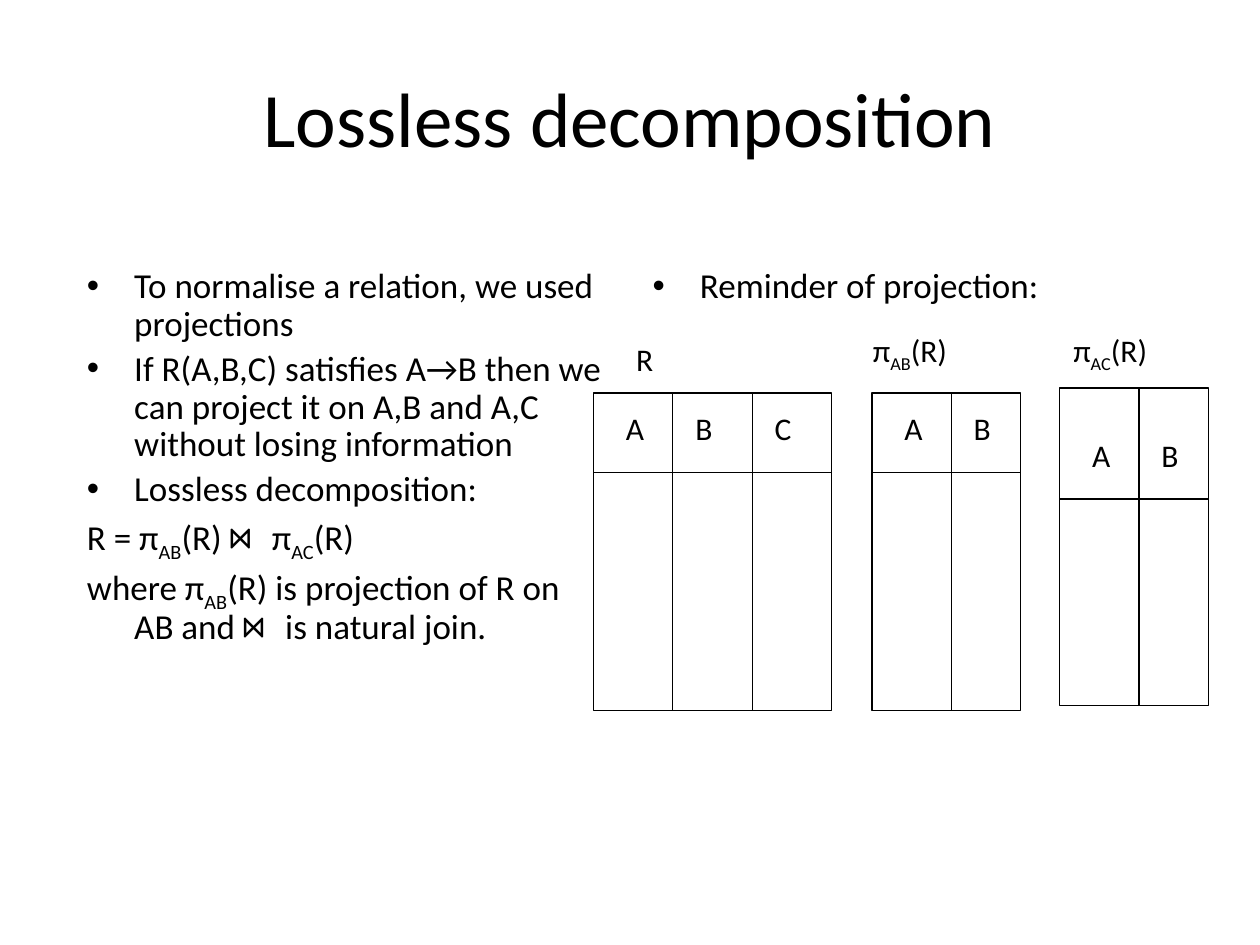
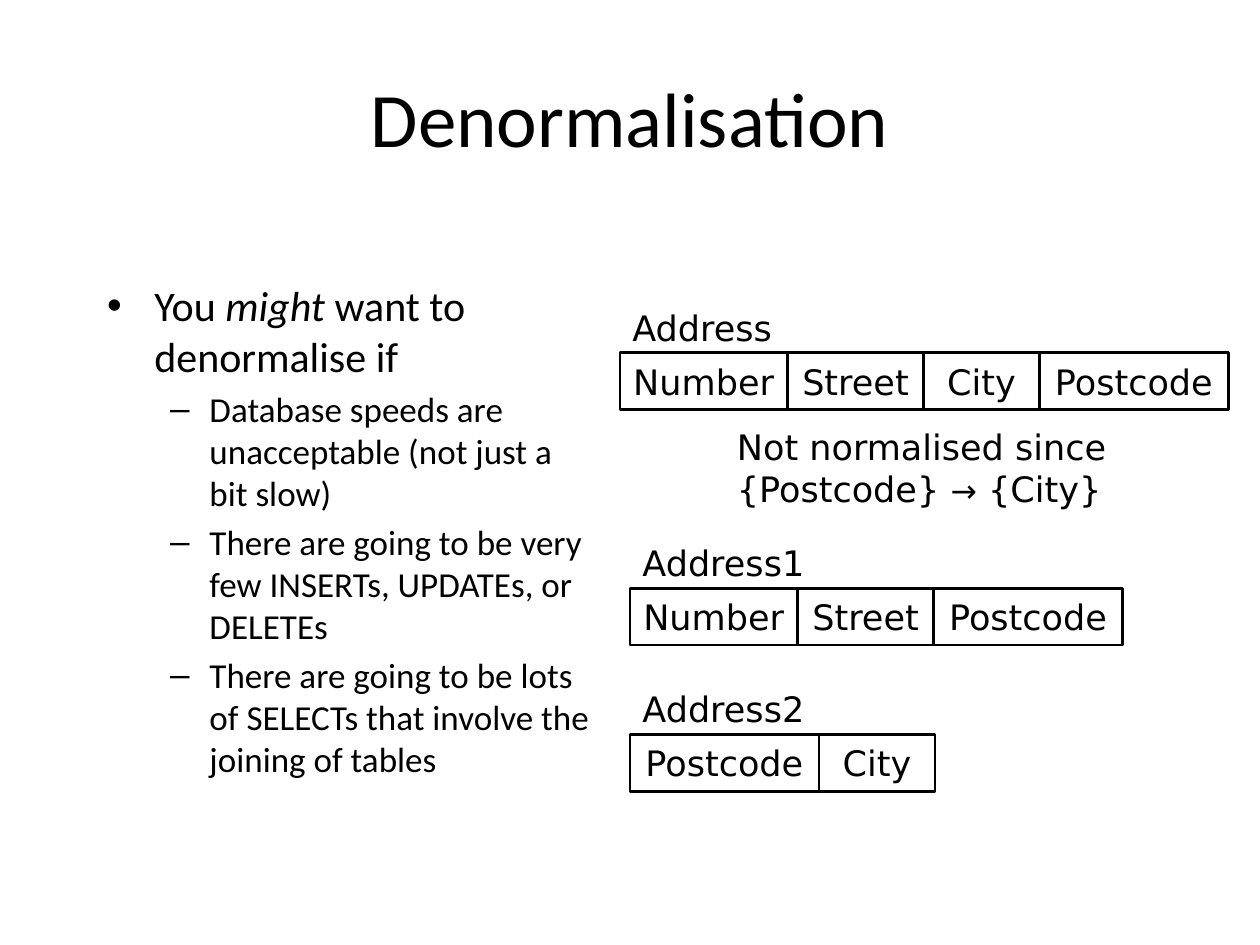
"""Build two database slides: lossless decomposition and denormalisation."""
import pptx
import pptx.util
from lxml import etree
from pptx.dml.color import RGBColor
from pptx.enum.shapes import MSO_CONNECTOR, MSO_SHAPE
from pptx.enum.text import MSO_ANCHOR, MSO_AUTO_SIZE, PP_ALIGN
from pptx.oxml.ns import qn

COLORS = {"ink": "000000", "paper": "FFFFFF"}
BODY_FONT, DIAGRAM_FONT, SYMBOL_FONT = "Calibri", "DejaVu Sans", "DejaVu Sans Mono"
TITLE_BOX = (0.5, 0.3, 9, 1.25)

# A piece of text is a plain string or (string, style).
SUB, ITALIC = {"subscript": True}, {"italic": True}
JOIN = ("⋈ ", {"font": SYMBOL_FONT})
PI_AB = ["π", ("AB", SUB), "(R)"]
PI_AC = ["π", ("AC", SUB), "(R)"]

# A body paragraph is (pieces, level, bulleted, size).
LOSSLESS_POINTS = [
    (["To normalise a relation, we used projections"], 0, True, 20),
    (["If R(A,B,C) satisfies A→B then we can project it on A,B and A,C "
      "without losing information"], 0, True, 20),
    (["Lossless decomposition:"], 0, True, 20),
    (["R = ", *PI_AB, " ", JOIN, *PI_AC], 0, False, 20),
    (["where ", *PI_AB, " is projection of R on AB and ", JOIN, "is natural join."],
     0, False, 20),
]
REMINDER_POINTS = [(["Reminder of projection:"], 0, True, 20)]
DENORMALISE_POINTS = [
    (["You ", ("might", ITALIC), " want to denormalise if"], 0, True, 24),
    (["Database speeds are unacceptable (not just a bit slow)"], 1, True, 20),
    (["There are going to be very few INSERTs, UPDATEs, or DELETEs"], 1, True, 20),
    (["There are going to be lots of SELECTs that involve the joining of tables"],
     1, True, 20),
]

# Relation diagrams: outline corner, width, header height, name position.
COLUMN_WIDTH, RELATION_HEIGHT = 0.63, 2.52
LETTER_OFFSETS = (0.16, 0.71, 1.34)
RELATIONS = [
    {"name": ["R"], "name_at": (4.95, 2.65), "at": (4.71, 3.12), "width": 1.89,
     "header": 0.63, "columns": "ABC"},
    {"name": PI_AB, "name_at": (6.83, 2.58), "at": (6.92, 3.12), "width": 1.18,
     "header": 0.63, "columns": "AB"},
    {"name": PI_AC, "name_at": (8.42, 2.58), "at": (8.41, 3.08), "width": 1.18,
     "header": 0.88, "columns": "AB"},
]

# Address schemas: each is one row of attributes under its name.
ATTRIBUTE_WIDTHS = {"Number": 1.33, "Street": 1.08, "City": 0.92, "Postcode": 1.5}
ROW_HEIGHT, NAME_HEIGHT = 0.45, 0.42
SCHEMAS = [
    ("Address", 1.31, (4.92, 2.8), ["Number", "Street", "City", "Postcode"]),
    ("Address1", 1.49, (5, 4.67), ["Number", "Street", "Postcode"]),
    ("Address2", 1.49, (5, 5.83), ["Postcode", "City"]),
]
DEPENDENCY_NOTE = [
    ["Not normalised since"],
    ["{Postcode} ", ("→", {"size": 18}), " {City}"],
]


def inches(*lengths):
    """Convert lengths in inches to slide units."""
    return [pptx.util.Inches(length) for length in lengths]


def color(name):
    """Look up a palette colour."""
    return RGBColor.from_string(COLORS[name])


def write(paragraph, pieces, size, font=BODY_FONT):
    """Fill a paragraph with styled pieces of text."""
    for piece in pieces:
        text, style = (piece, {}) if isinstance(piece, str) else piece
        run = paragraph.add_run()
        run.text = text
        run.font.name = style.get("font", font)
        run.font.size = pptx.util.Pt(style.get("size", size))
        run.font.color.rgb = color("ink")
        if style.get("italic"):
            run.font.italic = True
        if style.get("subscript"):
            run.font._element.set("baseline", "-25000")


def paragraphs_for(text_frame, count):
    """Return the given number of paragraphs, reusing the first."""
    return [text_frame.paragraphs[0]] + [text_frame.add_paragraph()
                                         for _ in range(count - 1)]


def place(shape, box):
    """Move and size a shape to a box in inches."""
    shape.left, shape.top, shape.width, shape.height = inches(*box)


def add_slide(presentation, layout_index, title):
    """Add a slide with the shared background and title style."""
    slide = presentation.slides.add_slide(presentation.slide_layouts[layout_index])
    slide.background.fill.solid()
    slide.background.fill.fore_color.rgb = color("paper")
    place(slide.shapes.title, TITLE_BOX)
    text_frame = slide.shapes.title.text_frame
    text_frame.vertical_anchor = MSO_ANCHOR.MIDDLE
    text_frame.auto_size = MSO_AUTO_SIZE.NONE
    text_frame.paragraphs[0].alignment = PP_ALIGN.CENTER
    write(text_frame.paragraphs[0], [title], 44)
    return slide


def fill_body(placeholder, box, points, line_spacing=1.0):
    """Place a body placeholder and write its list."""
    place(placeholder, box)
    text_frame = placeholder.text_frame
    text_frame.auto_size = MSO_AUTO_SIZE.NONE
    for paragraph, point in zip(paragraphs_for(text_frame, len(points)), points):
        pieces, level, bulleted, size = point
        paragraph.level = level
        paragraph.line_spacing = line_spacing
        if not bulleted:
            etree.SubElement(paragraph._p.get_or_add_pPr(), qn("a:buNone"))
        write(paragraph, pieces, size)


def add_text(slide, box, lines, size, font=BODY_FONT, wrap=True):
    """Add a text box with one paragraph per line."""
    text_frame = slide.shapes.add_textbox(*inches(*box)).text_frame
    text_frame.word_wrap = wrap
    text_frame.auto_size = MSO_AUTO_SIZE.SHAPE_TO_FIT_TEXT
    for paragraph, line in zip(paragraphs_for(text_frame, len(lines)), lines):
        write(paragraph, line, size, font)


def add_rectangle(slide, box, line_width):
    """Add an unfilled outlined rectangle."""
    shape = slide.shapes.add_shape(MSO_SHAPE.RECTANGLE, *inches(*box))
    shape.shadow.inherit = False
    shape.fill.background()
    shape.line.color.rgb = color("ink")
    shape.line.width = pptx.util.Pt(line_width)
    return shape


def add_rule(slide, start, end):
    """Add a thin straight line."""
    connector = slide.shapes.add_connector(MSO_CONNECTOR.STRAIGHT,
                                           *inches(*start, *end))
    connector.line.color.rgb = color("ink")
    connector.line.width = pptx.util.Pt(0.75)
    etree.SubElement(connector._element.spPr, qn("a:effectLst"))


def draw_relation(slide, relation):
    """Draw a relation as an empty grid with a lettered header."""
    left, top = relation["at"]
    width, header = relation["width"], relation["header"]
    add_rectangle(slide, (left, top, width, RELATION_HEIGHT), 0.75)
    for letter, offset in zip(relation["columns"], LETTER_OFFSETS):
        add_text(slide, (left + offset, top + header - 0.55, 0.47, 0.5), [[letter]], 18)
    add_rule(slide, (left, top + header), (left + width, top + header))
    for column in range(1, len(relation["columns"])):
        x = left + column * COLUMN_WIDTH
        add_rule(slide, (x, top), (x, top + RELATION_HEIGHT))
    name_width = 0.47 if len(relation["name"]) == 1 else 1.42
    add_text(slide, (*relation["name_at"], name_width, 0.4), [relation["name"]], 18)


def draw_schema(slide, name, name_width, corner, attributes):
    """Draw a schema as a row of attribute boxes below its name."""
    left, top = corner
    add_text(slide, (left, top - NAME_HEIGHT, name_width, 0.43), [[name]], 20,
             DIAGRAM_FONT, wrap=False)
    for attribute in attributes:
        width = ATTRIBUTE_WIDTHS[attribute]
        text_frame = add_rectangle(slide, (left, top, width, ROW_HEIGHT), 1.5).text_frame
        text_frame.word_wrap = True
        text_frame.vertical_anchor = MSO_ANCHOR.MIDDLE
        text_frame.paragraphs[0].alignment = PP_ALIGN.CENTER
        write(text_frame.paragraphs[0], [attribute], 20, DIAGRAM_FONT)
        left += width


def build_lossless(presentation):
    """Build the slide on lossless decomposition."""
    slide = add_slide(presentation, 3, "Lossless decomposition")
    # The left column is just narrow enough to wrap before the R grid.
    fill_body(slide.placeholders[1], (0.59, 2.08, 4.3, 4.75), LOSSLESS_POINTS, 0.9)
    fill_body(slide.placeholders[2], (5.08, 2.08, 4.33, 4.75), REMINDER_POINTS, 0.9)
    for relation in RELATIONS:
        draw_relation(slide, relation)


def build_denormalisation(presentation):
    """Build the slide on denormalisation."""
    slide = add_slide(presentation, 1, "Denormalisation")
    fill_body(slide.placeholders[1], (0.75, 2.17, 4.08, 4.5), DENORMALISE_POINTS)
    for schema in SCHEMAS:
        draw_schema(slide, *schema)
    add_text(slide, (5.75, 3.33, 3.22, 0.83), DEPENDENCY_NOTE, 20, DIAGRAM_FONT,
             wrap=False)


def main():
    """Build and save the presentation."""
    presentation = pptx.Presentation()
    presentation.slide_width, presentation.slide_height = inches(10, 7.5)
    build_lossless(presentation)
    build_denormalisation(presentation)
    presentation.save("out.pptx")


main()
